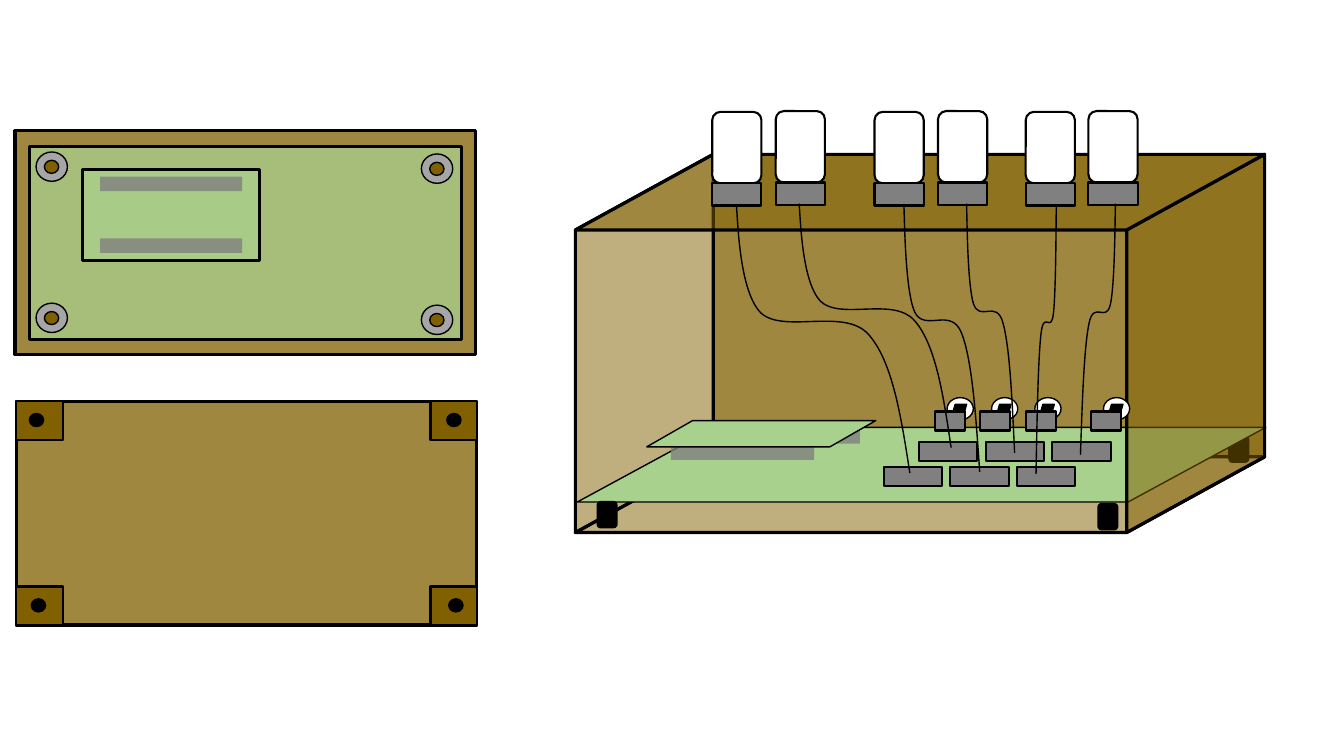
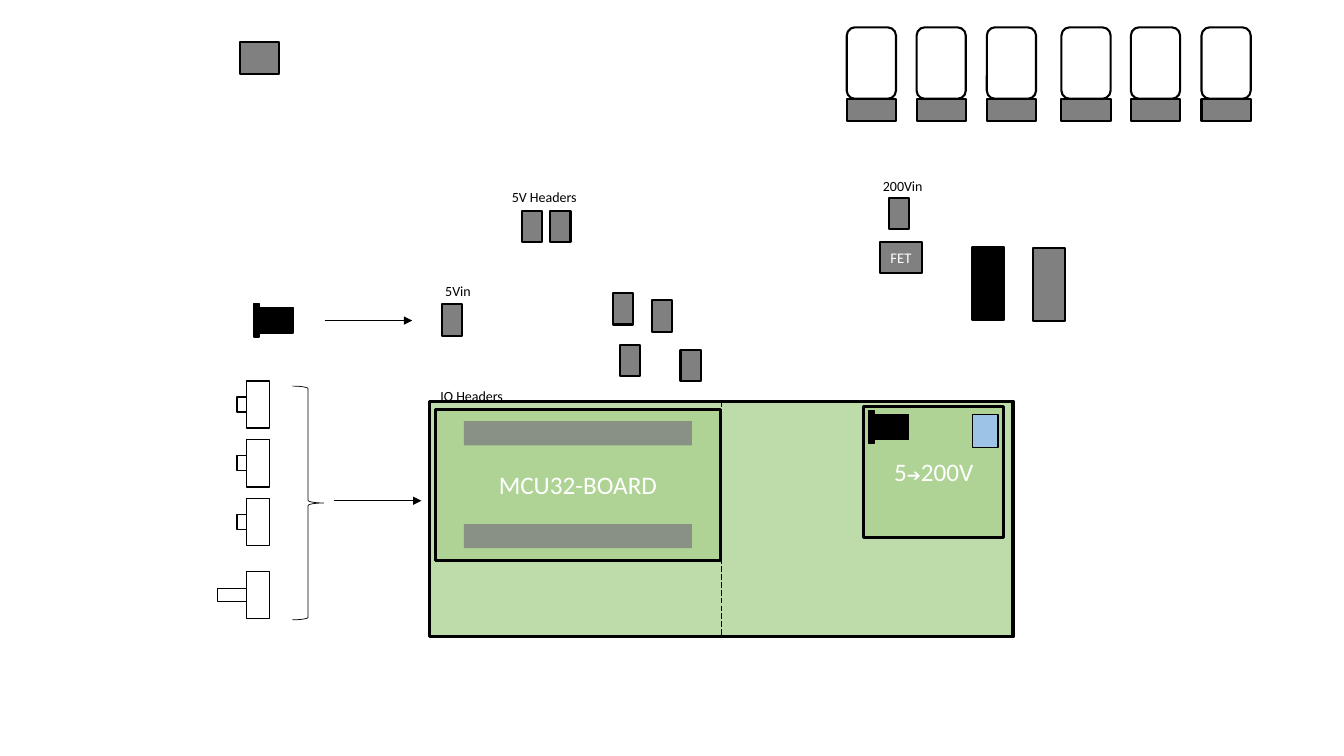
from lxml.etree import SubElement
from pptx import Presentation
from pptx.dml.color import RGBColor
from pptx.enum.dml import MSO_LINE
from pptx.enum.shapes import MSO_CONNECTOR as LINK, MSO_SHAPE as SHAPE
from pptx.enum.text import MSO_ANCHOR, PP_ALIGN
from pptx.oxml.ns import qn
from pptx.util import Cm, Pt

BLACK = RGBColor(0, 0, 0)
WHITE = RGBColor(255, 255, 255)
WOOD = RGBColor(0x80, 0x60, 0x00)
PCB = RGBColor(0xA9, 0xD1, 0x8E)
GREY = RGBColor(0x80, 0x80, 0x80)
SILVER = RGBColor(0xA6, 0xA6, 0xA6)
BLUE = RGBColor(0x9D, 0xC3, 0xE6)
FONT = "Calibri"
THIN, FINE, MEDIUM, THICK = 0.5, 1, 1.5, 2.25
RECT, ROUND, OVAL, SLANT = (SHAPE.RECTANGLE, SHAPE.ROUNDED_RECTANGLE,
                            SHAPE.OVAL, SHAPE.FLOWCHART_DATA)

# Cable curve from plug to socket, as fractions of its width and height
CABLE = [(0.01, 0.08), (0.02, 0.32), (0.14, 0.4), (0.27, 0.48), (0.62, 0.38),
         (0.76, 0.48), (0.9, 0.58), (0.95, 0.79), (1, 1)]


# Basic parts, all lengths in centimetres
def add_shape(s, kind, x, y, w, h, fill, line=MEDIUM, alpha=100):
    sp = s.shapes.add_shape(kind, Cm(x), Cm(y), Cm(w), Cm(h))
    sp.shadow.inherit = False
    if fill is None:
        sp.fill.background()
    else:
        sp.fill.solid()
        sp.fill.fore_color.rgb = fill
        if alpha < 100:
            color = sp.element.spPr.find(qn("a:solidFill"))[0]
            SubElement(color, qn("a:alpha"), val=str(alpha * 1000))
    if line:
        set_line(sp, line)
    else:
        sp.line.fill.background()
    return sp


def set_line(sp, width):
    sp.line.color.rgb = BLACK
    sp.line.width = Pt(width)


def write(sp, runs, color):
    p = sp.text_frame.paragraphs[0]
    for text, size in runs:
        r = p.add_run()
        r.text = text
        r.font.name, r.font.size = FONT, Pt(size)
        r.font.color.rgb = color


def write_centred(sp, *runs):
    tf = sp.text_frame
    tf.margin_left = tf.margin_right = 0
    tf.vertical_anchor = MSO_ANCHOR.MIDDLE
    tf.paragraphs[0].alignment = PP_ALIGN.CENTER
    write(sp, runs, WHITE)


def label(s, x, y, text):
    sp = s.shapes.add_textbox(Cm(x), Cm(y), Cm(2.41), Cm(0.69))
    sp.text_frame.word_wrap = True
    write(sp, [(text, 10)], BLACK)


def connect(s, kind, x1, y1, x2, y2, arrow=False):
    c = s.shapes.add_connector(kind, Cm(x1), Cm(y1), Cm(x2), Cm(y2))
    set_line(c, THIN)
    if arrow:
        SubElement(c.line._get_or_add_ln(), qn("a:tailEnd"), type="triangle")
    SubElement(c.element.spPr, qn("a:effectLst"))
    return c


def cable(s, x1, y1, x2, y2):
    w, h = x2 - x1, y2 - y1
    builder = s.shapes.build_freeform(Cm(x1), Cm(y1))
    builder.add_line_segments(
        [(Cm(x1 + fx * w), Cm(y1 + fy * h)) for fx, fy in CABLE], close=False)
    sp = builder.convert_to_shape()
    sp.shadow.inherit = False
    sp.fill.background()
    set_line(sp, FINE)
    # Each three straight points become one Bezier segment
    outline = next(sp.element.iter(qn("a:path")))
    points = outline.findall(qn("a:lnTo"))
    for i in range(0, len(points), 3):
        curve = SubElement(outline, qn("a:cubicBezTo"))
        for point in points[i:i + 3]:
            curve.append(point[0])
            outline.remove(point)


# Components used on both slides
def tube(s, x, y):
    add_shape(s, ROUND, x, y, 1.24, 1.8, WHITE)
    add_shape(s, RECT, x, y + 1.8, 1.24, 0.56, GREY)


def strip(s, x, y, w, h):
    add_shape(s, RECT, x, y, w, h, GREY, None, 80)


def controller(s, x, y, w, h):
    board = add_shape(s, RECT, x, y, w, h, PCB, THICK, 75)
    for top in (0.76, 0.08):
        strip(s, x + 0.1 * w, y + top * h, 0.8 * w, 0.16 * h)
    return board


# Slide 1: enclosure
def top_view(s, x, y, w, h):
    add_shape(s, RECT, x, y, w, h, WOOD, THICK, 75)
    add_shape(s, RECT, x + 0.36, y + 0.39, w - 0.72, h - 0.77, PCB, THICK, 75)
    for dx, dy in ((0.53, 0.53), (0.53, 4.34), (10.24, 0.58), (10.24, 4.39)):
        add_shape(s, OVAL, x + dx, y + dy, 0.79, 0.74, SILVER, FINE)
        add_shape(s, OVAL, x + dx + 0.21, y + dy + 0.21, 0.36, 0.33, WOOD, FINE)
    controller(s, x + 1.7, y + 0.97, 4.47, 2.29)


def bottom_view(s, x, y, w, h):
    add_shape(s, RECT, x, y, w, h, WOOD, THICK, 75)
    block_w, block_h = 1.17, 0.97
    for dx, hole in ((0, 0.33), (w - block_w, 0.41)):
        for dy, shift in ((0, 0), (h - block_h, 0.05)):
            add_shape(s, RECT, x + dx, y + dy, block_w, block_h, WOOD)
            add_shape(s, OVAL, x + dx + hole + shift, y + dy + 0.31,
                      0.36, 0.33, BLACK, FINE)


def side_wall(s, x, y, w, h):
    wall = add_shape(s, SLANT, x + (w - h) / 2, y + (h - w) / 2, h, w,
                     WOOD, THICK, 50)
    wall.rotation = 270
    wall.element.spPr.find(qn("a:xfrm")).set("flipV", "1")


def foot(s, x, y):
    add_shape(s, ROUND, x, y, 0.48, 0.64, BLACK)


def cabinet(s, x, y, w, h):
    dx, dy = w / 5, h / 5
    # Walls and main board
    add_shape(s, SLANT, x, y + h - dy, w, dy, WOOD, THICK, 50)
    add_shape(s, RECT, x + dx, y, w - dx, h - dy, WOOD, THICK, 75)
    foot(s, x + 16.48, y + 7.11)
    side_wall(s, x, y, dx, h)
    add_shape(s, SLANT, x + 0.05, y + 6.88, w - 0.02, 1.88, PCB, FINE)
    side_wall(s, x + w - dx, y, dx, h)
    add_shape(s, SLANT, x, y, w, dy, WOOD, THICK, 50)
    # Tubes in pairs
    for i, left in enumerate((3.45, 5.05, 7.54, 9.14, 11.35, 12.93)):
        tube(s, x + left, y - 1.07 - 0.02 * (i % 2))
    # Rear panel connectors
    for socket, header in ((9.37, 9.07), (10.49, 10.19),
                           (11.58, 11.35), (13.31, 13)):
        add_shape(s, OVAL, x + socket, y + 6.13, 0.66, 0.56, WHITE, FINE)
        add_shape(s, SLANT, x + socket + 0.13, y + 6.3, 0.36, 0.25, BLACK, FINE)
        add_shape(s, RECT, x + header, y + 6.48, 0.76, 0.48, GREY)
    # Raised controller board
    strip(s, x + 2.41, y + 7.34, 3.61, 0.36)
    strip(s, x + 3.56, y + 6.93, 3.61, 0.36)
    add_shape(s, SLANT, x + 1.8, y + 6.71, 5.77, 0.66, PCB, FINE)
    # Tube sockets and their cables
    for left, top in ((7.77, 7.87), (8.66, 7.24)):
        for i in range(3):
            add_shape(s, RECT, x + left + 1.68 * i, y + top, 1.47, 0.48, GREY)
    for x1, y1, x2, y2 in ((4.06, 1.3, 8.43, 8.03), (5.64, 1.24, 9.47, 7.39),
                           (8.28, 1.27, 10.19, 8), (9.86, 1.24, 11.07, 7.52),
                           (12.12, 1.32, 11.61, 8.05), (13.61, 1.24, 12.73, 7.57)):
        cable(s, x + x1, y + y1, x + x2, y + y2)
    foot(s, x + 0.56, y + 8.76)
    foot(s, x + 13.18, y + 8.81)


# Slide 2: board layout
def jack(s, x, y):
    add_shape(s, RECT, x + 0.13, y + 0.1, 0.86, 0.64, BLACK, FINE)
    add_shape(s, RECT, x, y, 0.13, 0.84, BLACK, FINE)


def control(s, x, y, knob_w, knob_h):
    w, h = 0.58, 1.19
    add_shape(s, RECT, x, y, w, h, WHITE, FINE)
    add_shape(s, RECT, x - knob_w, y + (h - knob_h) / 2, knob_w, knob_h,
              WHITE, FINE)


def converter(s, x, y, w, h):
    board = add_shape(s, RECT, x, y, w, h, PCB, THICK, 75)
    write_centred(board, ("5", 18), ("➔", 12), ("200V", 18))
    jack(s, x + 0.13, y + 0.1)
    add_shape(s, RECT, x + 2.74, y + 0.2, 0.64, 0.84, BLUE, FINE)


def main_board(s, x, y, w, h):
    add_shape(s, RECT, x, y, w, h, PCB, THICK, 75)
    board = controller(s, x + 0.15, y + 0.2, 7.19, 3.81)
    write_centred(board, ("MCU32-BOARD", 18))
    converter(s, x + 10.95, y + 0.13, 3.53, 3.3)
    divider = connect(s, LINK.STRAIGHT, x + w / 2, y, x + w / 2, y + h)
    divider.line.dash_style = MSO_LINE.LONG_DASH


def inputs(s, x, y):
    add_shape(s, RECT, x + 0.55, y, 0.99, 0.79, GREY)
    jack(s, x + 0.9, y + 6.58)
    for i in range(3):
        control(s, x + 0.72, y + 8.53 + 1.48 * i, 0.25, 0.38)
    control(s, x + 0.72, y + 13.33, 0.74, 0.33)
    add_shape(s, SHAPE.RIGHT_BRACE, x + 1.87, y + 8.66, 0.79, 5.89, None, THIN)
    for dx, dy in ((2.91, 11.55), (2.68, 7.01)):
        connect(s, LINK.ELBOW, x + dx, y + dy, x + dx + 2.21, y + dy, arrow=True)


def loose_parts(s, x, y):
    for dx, dy in ((4.49, 3.71), (0, 2.69), (11.27, 0), (4.31, 2.41),
                   (5.3, 2.59), (6.02, 3.83), (2.03, 0.33), (2.74, 0.33)):
        add_shape(s, RECT, x + dx, y + dy, 0.51, 0.79, GREY)
    add_shape(s, RECT, x + 13.38, y + 1.24, 0.79, 1.85, BLACK)
    add_shape(s, RECT, x + 14.91, y + 1.27, 0.79, 1.85, GREY)
    fet = add_shape(s, RECT, x + 11.04, y + 1.12, 1.07, 0.79, GREY)
    write_centred(fet, ("FET", 10.5))
    for dx, dy, text in ((-0.28, 4.65, "IO Headers"), (1.52, -0.36, "5V Headers"),
                         (-0.16, 2.01, "5Vin"), (10.87, -0.64, "200Vin")):
        label(s, x + dx, y + dy, text)


prs = Presentation()
prs.slide_width, prs.slide_height = Cm(33.87), Cm(19.05)
blank = prs.slide_layouts[6]

s = prs.slides.add_slide(blank)
cabinet(s, 14.5, 3.89, 17.37, 9.53)
top_view(s, 0.38, 3.3, 11.61, 5.64)
bottom_view(s, 0.41, 10.11, 11.61, 5.64)

s = prs.slides.add_slide(blank)
main_board(s, 10.82, 10.11, 14.71, 5.94)
for left in (21.34, 23.1, 24.87, 26.75, 28.5, 30.28):
    tube(s, left, 0.69)
inputs(s, 5.5, 1.07)
loose_parts(s, 11.13, 4.98)

prs.save("out.pptx")
